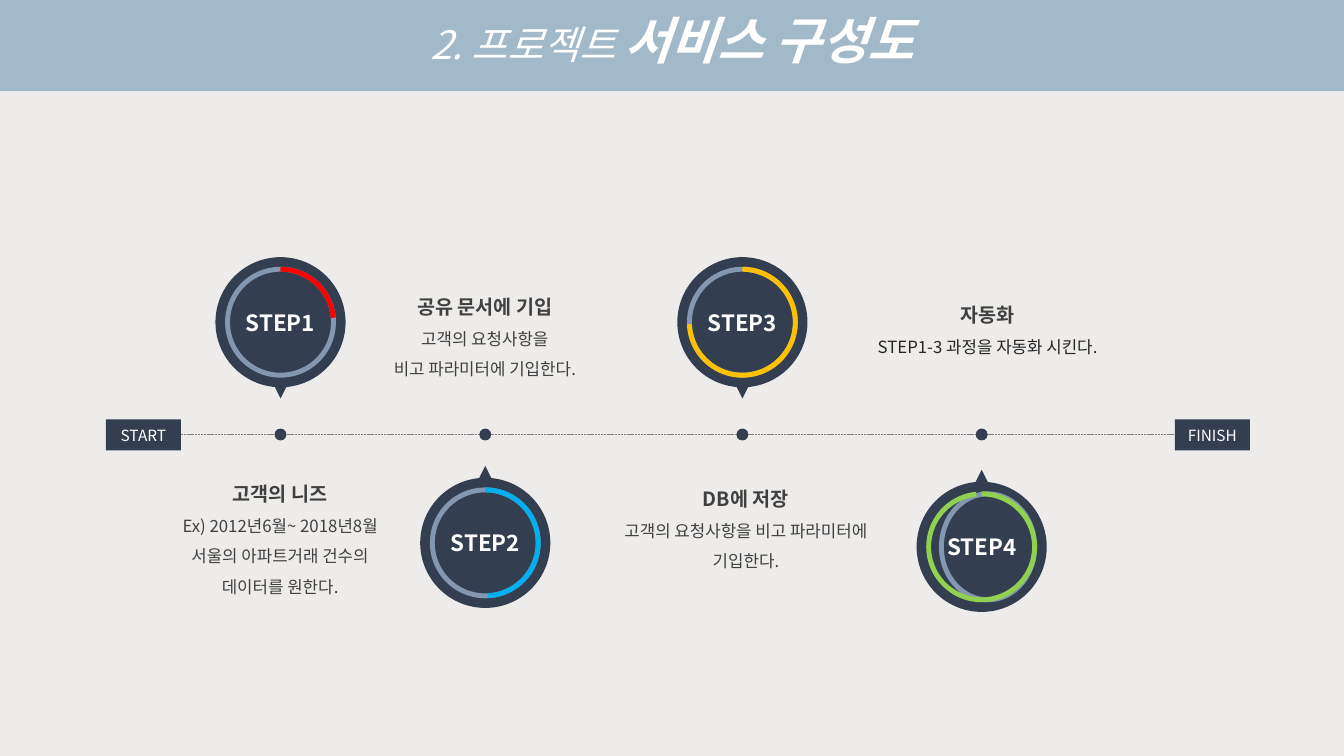
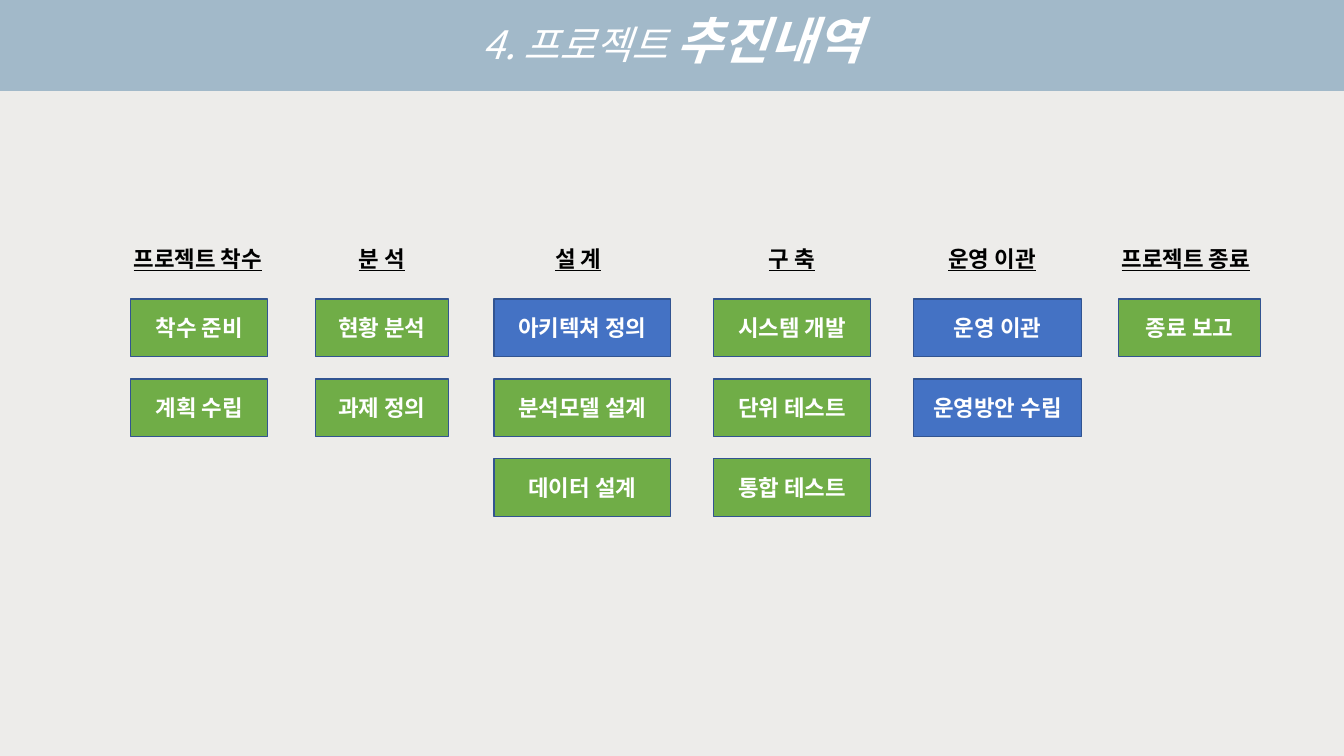
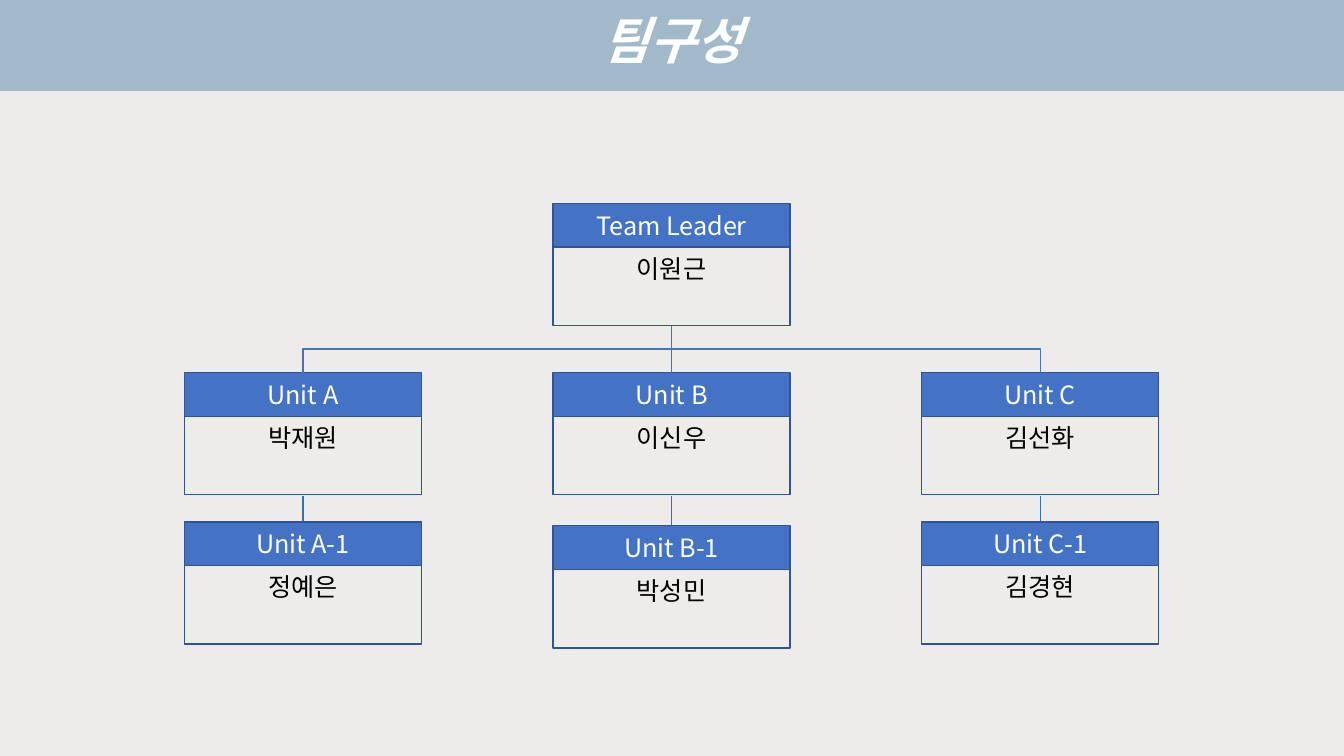
from lxml.etree import SubElement
from pptx import Presentation
from pptx.dml.color import RGBColor
from pptx.enum.dml import MSO_LINE
from pptx.enum.shapes import MSO_CONNECTOR as LINK, MSO_SHAPE as SHAPE
from pptx.enum.text import MSO_ANCHOR as ANCHOR, MSO_AUTO_SIZE as FIT, PP_ALIGN as ALIGN
from pptx.oxml.ns import qn
from pptx.util import Cm, Pt

FONT = "Noto Sans CJK KR"
COLORS = {
    "paper": "EDECEA", "band": "A2B9C9", "white": "FFFFFF", "black": "000000",
    "navy": "333F50", "ring": "8497B0", "gray": "808080", "text": "404040",
    "dark": "262626", "red": "FF0000", "yellow": "FFC000", "sky": "00B0F0",
    "lime": "92D050", "green": "70AD47", "blue": "4472C4", "edge": "325491",
    "link": "2E75B6",
}


def rgb(name):
    return RGBColor.from_string(COLORS[name])


def add_span(para, text, size=16, color="white", bold=False, italic=False, underline=False):
    span = para.add_run()
    span.text = text
    font = span.font
    font.size, font.bold, font.italic, font.underline = Pt(size), bold, italic, underline
    font.color.rgb = rgb(color)
    font.name = FONT
    SubElement(font._element, qn("a:ea")).set("typeface", FONT)


class Deck:
    def __init__(self):
        self.file = Presentation()
        self.file.slide_width, self.file.slide_height = Cm(33.87), Cm(19.05)
        self.page = None
        # Shared background: a hard colour step makes the title band
        fill = self.file.slide_master.background.fill
        fill.gradient()
        fill.gradient_angle = 90
        for stop, color in zip(fill.gradient_stops, ("paper", "band")):
            stop.position = 0.88
            stop.color.rgb = rgb(color)

    def add_page(self, strong, light=""):
        self.page = self.file.slides.add_slide(self.file.slide_layouts[5])
        title = self.page.shapes.title
        title.left, title.top, title.width, title.height = Cm(7.49), Cm(0.1), Cm(18.9), Cm(1.8)
        frame = title.text_frame
        frame.auto_size, frame.vertical_anchor = FIT.NONE, ANCHOR.TOP
        para = frame.paragraphs[0]
        para.alignment = ALIGN.CENTER
        if light:
            add_span(para, light, size=28, italic=True)
        add_span(para, strong, size=36, bold=True, italic=True)

    def shape(self, kind, left, top, width, height, fill=None, line=None, weight=1,
              text="", **style):
        item = self.page.shapes.add_shape(kind, Cm(left), Cm(top), Cm(width), Cm(height))
        item.shadow.inherit = False
        if fill:
            item.fill.solid()
            item.fill.fore_color.rgb = rgb(fill)
        else:
            item.fill.background()
        if line:
            item.line.color.rgb = rgb(line)
            item.line.width = Pt(weight)
        else:
            item.line.fill.background()
        if text:
            frame = item.text_frame
            frame.margin_left = frame.margin_right = frame.margin_top = frame.margin_bottom = 0
            frame.vertical_anchor = ANCHOR.MIDDLE
            frame.paragraphs[0].alignment = ALIGN.CENTER
            add_span(frame.paragraphs[0], text, **style)
        return item

    def text(self, left, top, width, height, lines, align=ALIGN.CENTER, spacing=1.0):
        """Each line is a pair: its text and its format."""
        box = self.page.shapes.add_textbox(Cm(left), Cm(top), Cm(width), Cm(height))
        frame = box.text_frame
        frame.word_wrap = True
        for index, (words, style) in enumerate(lines):
            para = frame.add_paragraph() if index else frame.paragraphs[0]
            para.alignment, para.line_spacing = align, spacing
            add_span(para, words, **style)

    def line(self, start, end, color, weight=1, dash=None, kind=LINK.STRAIGHT):
        item = self.page.shapes.add_connector(kind, *(Cm(value) for value in (*start, *end)))
        SubElement(item._element.spPr, qn("a:effectLst"))
        item.line.color.rgb = rgb(color)
        item.line.width = Pt(weight)
        if dash:
            item.line.dash_style = dash
        return item

    def elbow(self, start, end, upper, lower, color):
        """Join two shapes with a vertical, horizontal, vertical line."""
        item = self.line(start, end, color, kind=LINK.ELBOW)
        item.begin_connect(upper, 2)
        item.end_connect(lower, 0)
        across, down = abs(end[0] - start[0]), end[1] - start[1]
        middle_x, middle_y = (start[0] + end[0]) / 2, (start[1] + end[1]) / 2
        item.left, item.top = Cm(middle_x - down / 2), Cm(middle_y - across / 2)
        item.width, item.height = Cm(down), Cm(across)
        rightward = end[0] > start[0]
        place = item._element.spPr.find(qn("a:xfrm"))
        place.set("rot", str((270 if rightward else 90) * 60000))
        place.set("flipH", "1" if rightward else "0")
        place.set("flipV", "0")

    def step(self, name, center, top, color, end_angle, above, ring_cut=0):
        disc, ring, tip, dot = 3.28, 2.67, 0.89, 0.3
        self.shape(SHAPE.OVAL, center - disc / 2, top, disc, disc, "navy", text=name, bold=True)
        pointer = self.shape(SHAPE.ISOSCELES_TRIANGLE, center - tip / 2,
                             top + (2.67 if above else -0.3), tip, tip, "navy")
        pointer.rotation = 180 if above else 0
        left, ring_top = center - ring / 2, top + (disc - ring) / 2
        self.shape(SHAPE.OVAL, left + ring_cut, ring_top, ring - ring_cut, ring,
                   line="ring", weight=3.5)
        arc = self.shape(SHAPE.ARC, left, ring_top, ring, ring, line=color, weight=3.5)
        # Angles are stored in 60000ths of a degree, scaled by 100000
        arc.adjustments[0], arc.adjustments[1] = 270 * 0.6, end_angle * 0.6
        self.shape(SHAPE.OVAL, center - dot / 2, 10.8, dot, dot, "navy")

    def card(self, left, top, role, person):
        width = 5.97
        frame = self.shape(SHAPE.RECTANGLE, left, top, width, 3.05, line="edge")
        bar = self.shape(SHAPE.RECTANGLE, left, top - 0.03, width, 1.1, "blue", "edge",
                         text=role, size=18)
        self.text(left, top + 1.09, width, 1.02, [(person, dict(size=18, color="black"))])
        return frame, bar


def build_service(deck):
    deck.add_page("서비스 구성도", "2. 프로젝트 ")
    # Time line
    for left, label in ((2.67, "START"), (29.61, "FINISH")):
        deck.shape(SHAPE.RECTANGLE, left, 10.57, 1.89, 0.78, "navy", text=label, size=11)
    deck.line((4.56, 10.95), (29.61, 10.95), "gray", 0.5, MSO_LINE.SQUARE_DOT)
    # Steps
    deck.step("STEP1", 7.07, 6.48, "red", 355.1, above=True)
    deck.step("STEP3", 18.71, 6.48, "yellow", 177.9, above=True)
    deck.step("STEP2", 12.23, 12.04, "sky", 87.2, above=False)
    deck.step("STEP4", 24.74, 12.14, "lime", 264.2, above=False, ring_cut=0.32)
    # Explanations
    notes = (
        (8.84, 7.01, 2.59, "text", "공유 문서에 기입",
         ("고객의 요청사항을", "비고 파라미터에 기입한다.")),
        (3.68, 11.73, 3.35, "text", "고객의 니즈",
         ("Ex) 2012년6월~ 2018년8월", "서울의 아파트거래 건수의", "데이터를 원한다.")),
        (15.42, 11.86, 2.59, "text", "DB에 저장",
         ("고객의 요청사항을 비고 파라미터에 기입한다.",)),
        (21.51, 7.21, 1.83, "dark", "자동화", ("STEP1-3 과정을 자동화 시킨다.",)),
    )
    for left, top, height, color, heading, details in notes:
        lines = [(heading, dict(size=14, color="text", bold=True))]
        lines += [(detail, dict(size=12, color=color)) for detail in details]
        deck.text(left, top, 6.76, height, lines, spacing=1.5)


def build_progress(deck):
    deck.add_page("추진내역", "4. 프로젝트 ")
    # Heading left, heading, box left, box width, tasks
    phases = (
        (3.12, "프로젝트 착수", 3.29, 3.46, (("착수 준비", "green"), ("계획 수립", "green"))),
        (8.79, "분 석", 7.95, 3.35, (("현황 분석", "green"), ("과제 정의", "green"))),
        (13.74, "설 계", 12.45, 4.45,
         (("아키텍쳐 정의", "blue"), ("분석모델 설계", "green"), ("데이터 설계", "green"))),
        (19.13, "구 축", 17.98, 3.96,
         (("시스템 개발", "green"), ("단위 테스트", "green"), ("통합 테스트", "green"))),
        (23.65, "운영 이관", 23.02, 4.24, (("운영 이관", "blue"), ("운영방안 수립", "blue"))),
        (28.02, "프로젝트 종료", 28.19, 3.58, (("종료 보고", "green"),)),
    )
    for heading_left, heading, left, width, tasks in phases:
        style = dict(color="black", bold=True, underline=True)
        deck.text(heading_left, 6.05, 4.2, 0.94, [(heading, style)], ALIGN.LEFT)
        for row, (task, color) in enumerate(tasks):
            deck.shape(SHAPE.RECTANGLE, left, 7.54 + 2.01 * row, width, 1.45,
                       color, "edge", text=task, bold=True)


def build_team(deck):
    deck.add_page("팀구성")
    leader, _ = deck.card(13.94, 5.16, "Team Leader", "이원근")
    fork = (16.93, 8.21)
    units = (
        ("A", "박재원", "정예은", 13.18),
        ("B", "이신우", "박성민", 13.28),
        ("C", "김선화", "김경현", 13.18),
    )
    for column, (unit, head, member, member_top) in enumerate(units):
        left = 4.65 + 9.29 * column
        center = left + 2.99
        _, bar = deck.card(left, 9.42, f"Unit {unit}", head)
        deck.card(left, member_top, f"Unit {unit}-1", member)
        if unit == "B":
            deck.line(fork, (fork[0], 9.39), "blue")
        else:
            deck.elbow(fork, (center, 9.39), leader, bar, "blue")
        deck.line((center, 12.5), (center, member_top - 0.05), "link")


def main():
    deck = Deck()
    build_service(deck)
    build_progress(deck)
    build_team(deck)
    deck.file.save("out.pptx")


if __name__ == "__main__":
    main()
